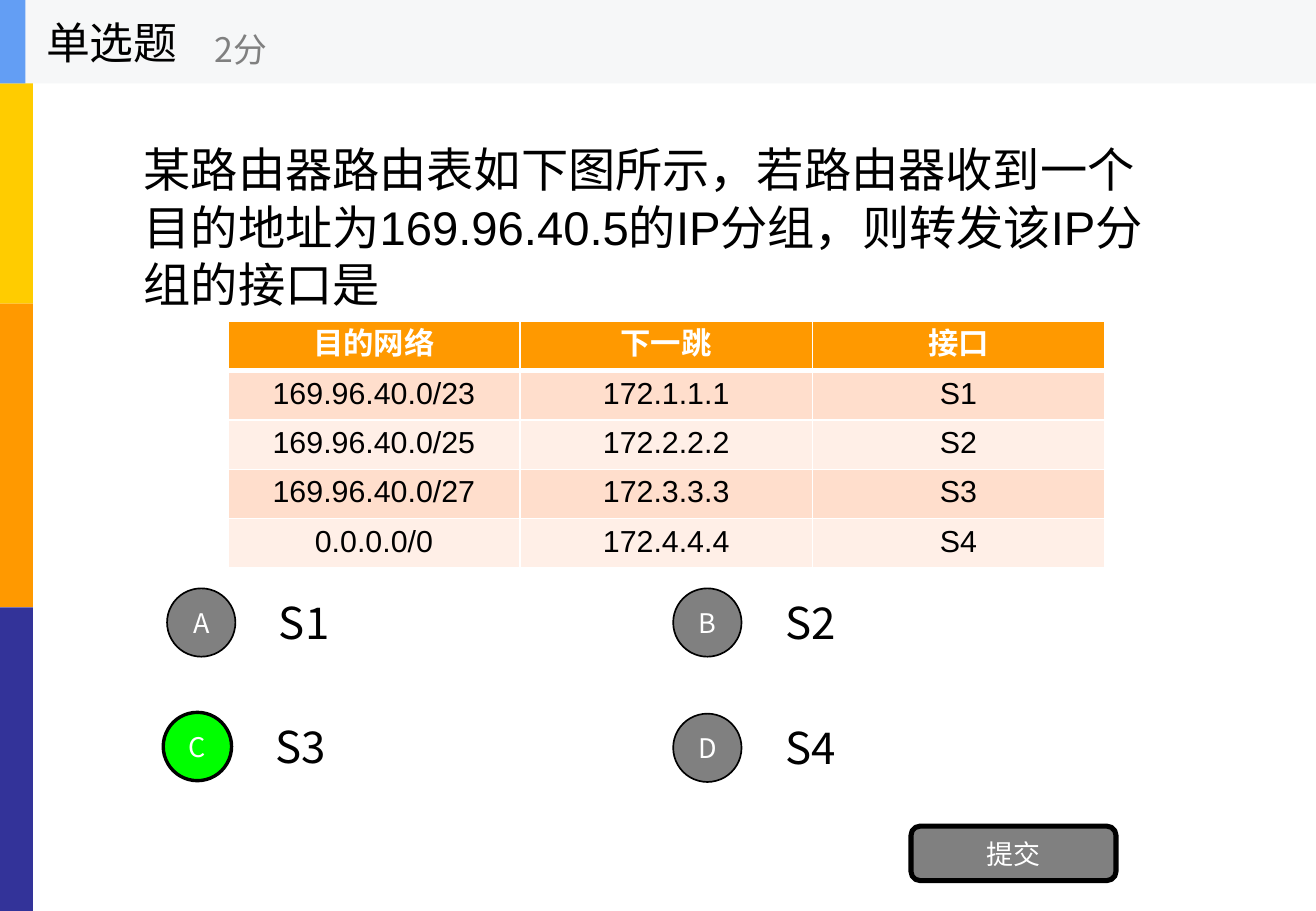
from lxml.etree import SubElement
from pptx import Presentation
from pptx.dml.color import RGBColor
from pptx.enum.shapes import MSO_SHAPE
from pptx.enum.text import MSO_ANCHOR, MSO_AUTO_SIZE, PP_ALIGN
from pptx.oxml.ns import qn
from pptx.util import Emu, Pt

PX = 9525  # 96 px to the inch
SANS, CJK = "Arial", "Noto Sans CJK SC"


def paint(fmt, color):
    """Give a fill a solid colour."""
    fmt.solid()
    fmt.fore_color.rgb = RGBColor.from_string(color)


def write(tf, text, size, color, align=PP_ALIGN.LEFT, font=CJK, bold=False):
    """Set and format the single paragraph of a text frame."""
    tf.text = text
    tf.word_wrap = True
    tf.vertical_anchor = MSO_ANCHOR.MIDDLE
    p = tf.paragraphs[0]
    p.alignment = align
    r = p.runs[0]
    r.font.size, r.font.bold, r.font.name = Pt(size), bold, font
    paint(r.font.fill, color)
    rPr = r._r.get_or_add_rPr()
    rPr.set("lang", "zh-CN")
    SubElement(rPr, qn("a:ea"), typeface=font)


prs = Presentation()
prs.slide_width, prs.slide_height = Emu(1040 * PX), Emu(720 * PX)
s = prs.slides.add_slide(prs.slide_layouts[5])

# Side bars and header band
bars = [(0, 0, 26, 240, "FFCC00"), (0, 240, 26, 240, "FF9900"), (0, 480, 26, 240, "333399"),
        (0, 0, 1040, 66, "F6F7F8"), (0, 0, 20, 66, "639EF4")]
for *box, color in bars:
    sp = s.shapes.add_shape(MSO_SHAPE.RECTANGLE, *[Emu(v * PX) for v in box])
    sp.shadow.inherit = False
    paint(sp.fill, color)
    sp.line.fill.background()

# Question
title = s.shapes.title
title.left, title.top, title.width, title.height = [Emu(v * PX) for v in (104, 66, 832, 225)]
write(title.text_frame, "某路由器路由表如下图所示，若路由器收到一个目的地址为169.96.40.5的IP分组，则转发该IP分组的接口是",
      28, "000000", font=SANS)
title.text_frame.auto_size = MSO_AUTO_SIZE.NONE
title.text_frame.paragraphs[0].line_spacing = Pt(34)

# Header texts and option labels
options = [("A", "S1", 132, 465), ("B", "S2", 532, 465), ("C", "S3", 129, 563), ("D", "S4", 532, 564)]
labels = [("单选题", 27, 0, 200, 66, 26, "000000"), ("2分", 160, 12, 240, 54, 20, "808080")]
labels += [(label, x + 79, y - 7, 308, 67, 26, "000000") for _, label, x, y in options]
for text, *box, size, color in labels:
    tb = s.shapes.add_textbox(*[Emu(v * PX) for v in box])
    write(tb.text_frame, text, size, color)

# Option circles and submit button
buttons = [(MSO_SHAPE.OVAL, letter, x, y, 54, 54, 2 if letter == "C" else 1)
           for letter, _, x, y in options]
buttons.append((MSO_SHAPE.ROUNDED_RECTANGLE, "提交", 720, 653, 162, 43, 3))
for kind, text, *box, weight in buttons:
    sp = s.shapes.add_shape(kind, *[Emu(v * PX) for v in box])
    sp.shadow.inherit = False
    paint(sp.fill, "00FF00" if text == "C" else "808080")
    paint(sp.line.fill, "000000")
    sp.line.width = Pt(weight)
    write(sp.text_frame, text, 16, "FFFFFF", PP_ALIGN.CENTER)

# Routing table
rows = [("目的网络", "下一跳", "接口"),
        ("169.96.40.0/23", "172.1.1.1", "S1"),
        ("169.96.40.0/25", "172.2.2.2", "S2"),
        ("169.96.40.0/27", "172.3.3.3", "S3"),
        ("0.0.0.0/0", "172.4.4.4", "S4")]
table = s.shapes.add_table(5, 3, *[Emu(v * PX) for v in (180, 254, 693, 195)]).table
for i, row in enumerate(rows):
    for j, text in enumerate(row):
        cell = table.cell(i, j)
        head = i == 0
        write(cell.text_frame, text, 18, "FFFFFF" if head else "000000", PP_ALIGN.CENTER, SANS, head)
        cell.vertical_anchor = MSO_ANCHOR.TOP
        tcPr = cell._tc.get_or_add_tcPr()
        for side in "LRTB":
            thick = (i, side) in ((0, "B"), (1, "T"))
            ln = SubElement(tcPr, qn(f"a:ln{side}"), w=str(Pt(3 if thick else 1)))
            SubElement(SubElement(ln, qn("a:solidFill")), qn("a:srgbClr"), val="FFFFFF")
        paint(cell.fill, "FF9900" if head else "FFDECC" if i % 2 else "FFEFE7")

prs.save("out.pptx")
